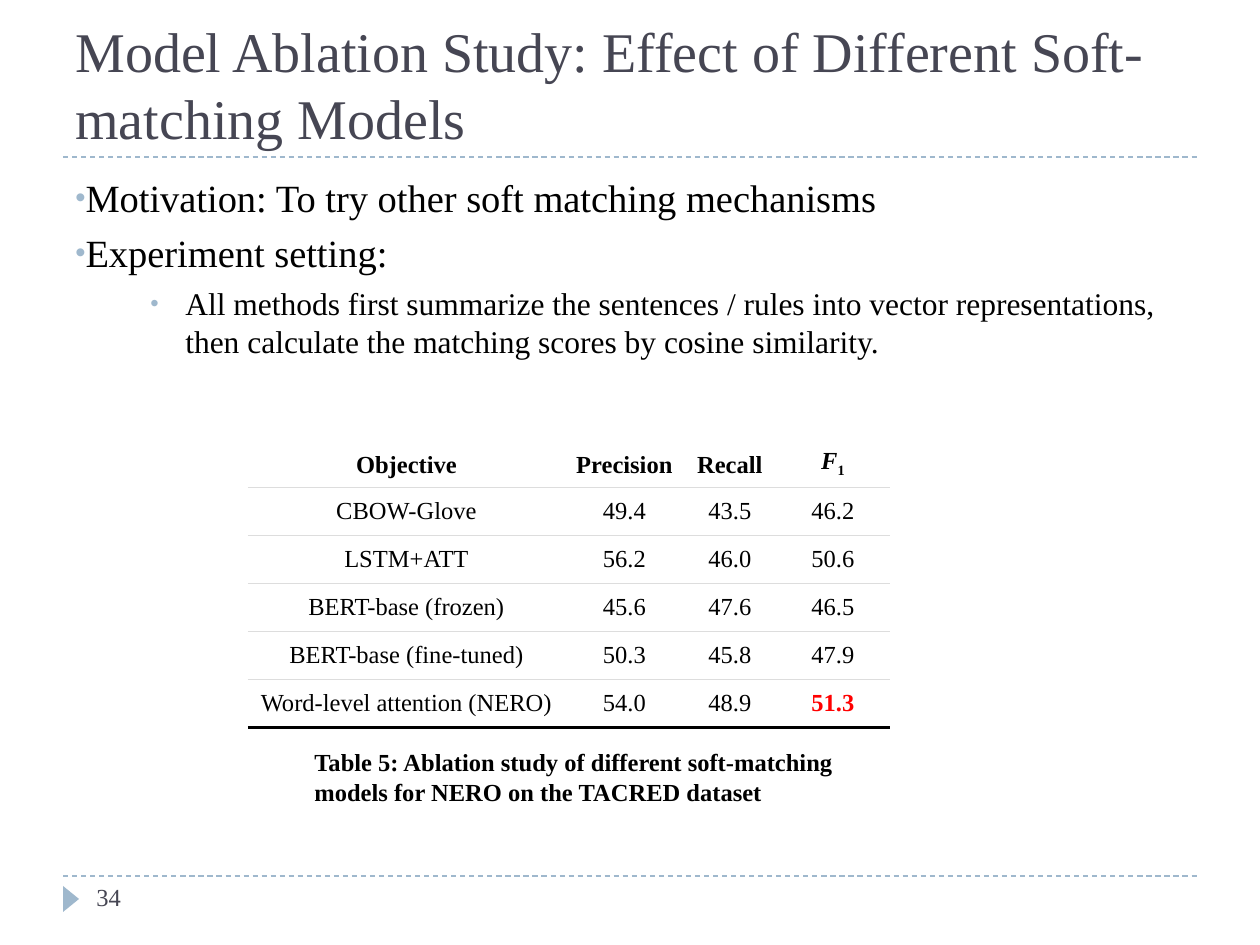
from lxml import etree
from pptx import Presentation, util as u
from pptx.dml.color import RGBColor
from pptx.enum import dml, shapes, text
from pptx.oxml import ns

PX = 914400 / 126
FONT = "Times New Roman"
SLATE = RGBColor(0x46, 0x46, 0x53)
BLUE = RGBColor(0x9F, 0xB8, 0xCD)
GREY = RGBColor(0xDD, 0xDD, 0xDD)
BLACK = RGBColor(0, 0, 0)
WHITE = RGBColor(255, 255, 255)
RED = RGBColor(255, 0, 0)

BULLETS = [  # text, size, left margin, indent
    ("Motivation: To try other soft matching mechanisms", 22, 0, -25),
    ("Experiment setting:", 22, 0, -25),
    ("All methods first summarize the sentences / rules into vector representations, "
     "then calculate the matching scores by cosine similarity.", 18, 110, -35),
]
COLUMNS = [317, 119, 92, 114]
ROWS = [
    ["Objective", "Precision", "Recall", "F"],
    ["CBOW-Glove", "49.4", "43.5", "46.2"],
    ["LSTM+ATT", "56.2", "46.0", "50.6"],
    ["BERT-base (frozen)", "45.6", "47.6", "46.5"],
    ["BERT-base (fine-tuned)", "50.3", "45.8", "47.9"],
    ["Word-level attention (NERO)", "54.0", "48.9", "51.3"],
]


def px(*values):
    return [u.Emu(round(v * PX)) for v in values]


def sub(parent, tag, **attrs):
    return etree.SubElement(parent, ns.qn(tag), attrs)


def add_run(p, words, size, color=BLACK, **formats):
    r = p.add_run()
    r.text = words
    r.font.color.rgb = color
    for name, value in {"name": FONT, "size": u.Pt(size), **formats}.items():
        setattr(r.font, name, value)
    return r


def add_box(s, box, anchor=text.MSO_ANCHOR.TOP):
    tf = s.shapes.add_textbox(*px(*box)).text_frame
    tf.word_wrap = True
    tf.vertical_anchor = anchor
    return tf


def add_rule(s, x, y, w):
    line = s.shapes.add_connector(shapes.MSO_CONNECTOR.STRAIGHT, *px(x, y, x + w, y))
    line.line.color.rgb = BLUE
    line.line.width = u.Pt(0.75)
    line.line.dash_style = dml.MSO_LINE.DASH
    sub(line._element.spPr, "a:effectLst")


def add_title(s, x, y, w, h):
    tf = add_box(s, (x, y, w, h), text.MSO_ANCHOR.BOTTOM)
    add_run(tf.paragraphs[0], "Model Ablation Study: Effect of Different Soft-matching Models",
            32, SLATE)
    add_rule(s, x, y + h, w)


def add_body(s, x, y, w, h):
    tf = add_box(s, (x, y, w, h))
    for i, (words, size, margin, indent) in enumerate(BULLETS):
        p = tf.add_paragraph() if i else tf.paragraphs[0]
        p.space_before = u.Pt(5)
        add_run(p, words, size)
        pPr = p._p.get_or_add_pPr()
        for name, value in zip(("marL", "indent"), px(margin, indent)):
            pPr.set(name, str(value))
        sub(sub(pPr, "a:buClr"), "a:srgbClr", val=str(BLUE))
        sub(pPr, "a:buSzPct", val="76000")
        sub(pPr, "a:buFont", typeface="Arial")
        sub(pPr, "a:buChar", char="•")


def set_borders(cell, top, bottom):
    """Draw the given (color, points) edges and hide the others."""
    tcPr = cell._tc.get_or_add_tcPr()
    edges = {"a:lnL": None, "a:lnR": None, "a:lnT": top, "a:lnB": bottom}
    for tag, edge in edges.items():
        if edge:
            color, points = edge
            ln = sub(tcPr, tag, w=str(u.Pt(points)))
            sub(sub(ln, "a:solidFill"), "a:srgbClr", val=str(color))
        else:
            sub(sub(tcPr, tag, w="0"), "a:noFill")


def add_results(s, x, y, head_h, row_h):
    last = len(ROWS) - 1
    box = px(x, y, sum(COLUMNS), head_h + last * row_h)
    table = s.shapes.add_table(len(ROWS), len(COLUMNS), *box).table
    table.horz_banding = False
    for column, width in zip(table.columns, px(*COLUMNS)):
        column.width = width
    thin, thick = (GREY, 0.75), (BLACK, 2)
    pad, = px(9)
    for i, values in enumerate(ROWS):
        head = i == 0
        table.rows[i].height, = px(head_h if head else row_h)
        for j, value in enumerate(values):
            cell = table.cell(i, j)
            anchor = text.MSO_ANCHOR.BOTTOM if head else text.MSO_ANCHOR.MIDDLE
            formats = {"vertical_anchor": anchor, "margin_left": pad, "margin_right": pad,
                       "margin_top": pad, "margin_bottom": pad}
            for name, setting in formats.items():
                setattr(cell, name, setting)
            set_borders(cell, None if head else thin, thick if i == last else thin)
            cell.fill.solid()
            cell.fill.fore_color.rgb = WHITE
            p = cell.text_frame.paragraphs[0]
            p.alignment = text.PP_ALIGN.CENTER
            best = value == "51.3"
            add_run(p, value, 14, RED if best else BLACK, bold=head or best,
                    italic=value == "F")
            if value == "F":
                r = add_run(p, "1", 14, bold=True)
                r._r.get_or_add_rPr().set("baseline", "-25000")


def add_caption(s, *box):
    p = add_box(s, box).paragraphs[0]
    add_run(p, "Table 5: Ablation study of different soft-matching models for NERO "
               "on the TACRED dataset", 14, bold=True)


def add_footer(s, x, y, w):
    add_rule(s, x, y, w)
    marker = s.shapes.add_shape(shapes.MSO_SHAPE.ISOSCELES_TRIANGLE, *px(x - 5, y + 15, 26, 16))
    marker.rotation = 90
    marker.shadow.inherit = False
    marker.fill.solid()
    marker.fill.fore_color.rgb = BLUE
    marker.line.fill.background()
    tf = add_box(s, (x + 21, y, 273, 50))
    add_run(tf.paragraphs[0], "34", 14, SLATE)


def main():
    prs = Presentation()
    prs.slide_width, prs.slide_height = px(1260, 945)
    s = prs.slides.add_slide(prs.slide_layouts[6])
    add_title(s, 63, 0, 1134, 157)
    add_body(s, 63, 168, 1134, 680)
    add_results(s, 248, 436, 51, 48)
    add_caption(s, 302, 741, 588, 72)
    add_footer(s, 63, 876, 1134)
    prs.save("out.pptx")


if __name__ == "__main__":
    main()
